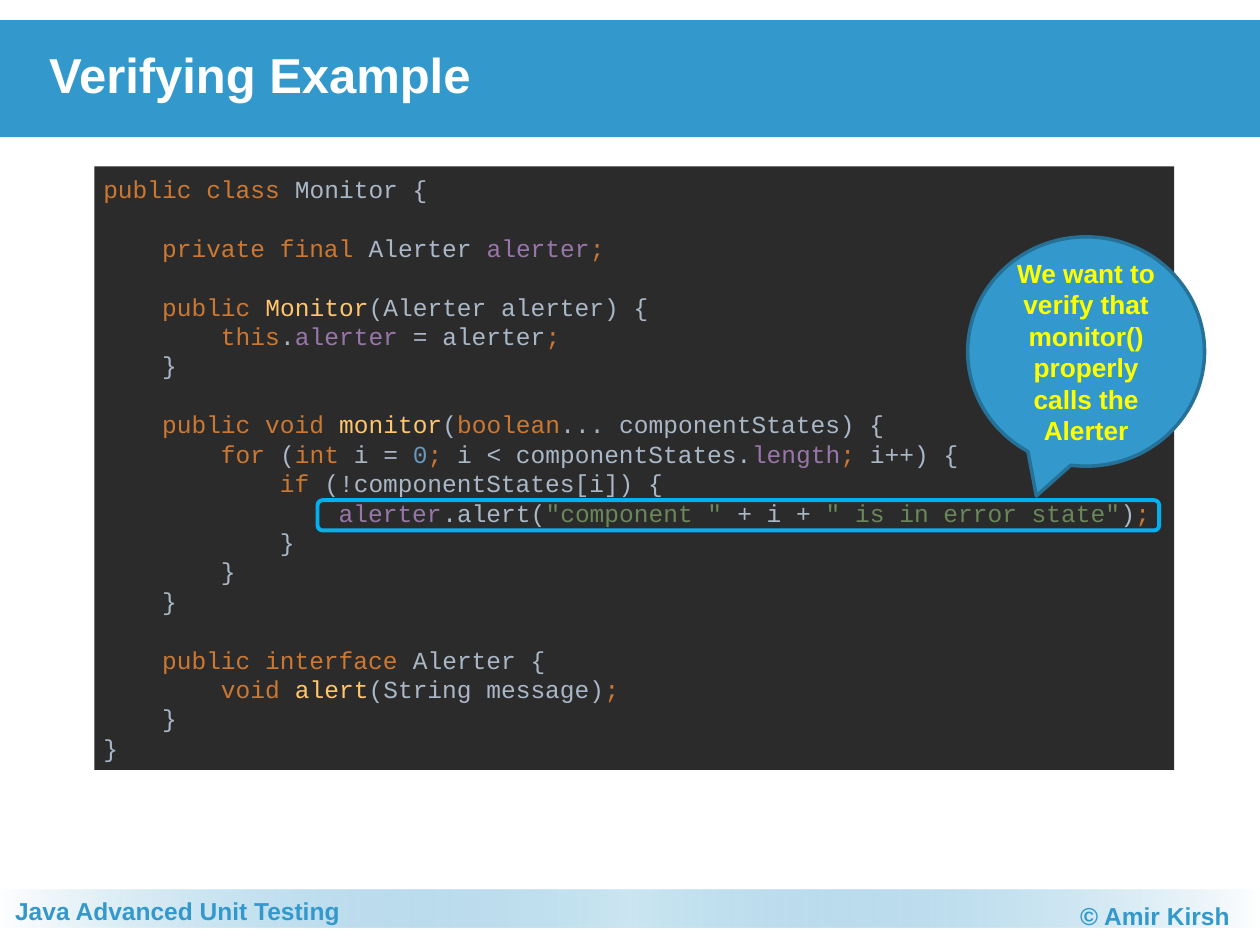
import copy

import lxml.etree
import pptx
import pptx.dml.color
import pptx.enum.shapes
import pptx.enum.text
import pptx.oxml.ns
import pptx.util

Inches = pptx.util.Inches
Pt = pptx.util.Pt
SHAPE = pptx.enum.shapes.MSO_SHAPE
ALIGN = pptx.enum.text.PP_ALIGN
ANCHOR = pptx.enum.text.MSO_ANCHOR
qn = pptx.oxml.ns.qn

BLUE = "3399CC"
SYNTAX = {
    "k": "CC7832",
    "t": "A9B7C6",
    "f": "9876AA",
    "m": "FFC66D",
    "n": "6897BB",
    "s": "6A8759",
}
CODE = [
    "kpublic class |tMonitor {",
    "",
    "k    private final |tAlerter |falerter|k;",
    "",
    "k    public |mMonitor|t(Alerter alerter) {",
    "k        this|t.|falerter |t= alerter|k;",
    "t    }",
    "",
    "k    public void |mmonitor|t(|kboolean|t... componentStates) {",
    "k        for |t(|kint |ti = |n0|k; |ti < componentStates.|flength|k; |ti++) {",
    "k            if |t(!componentStates[i]) {",
    'f                alerter|t.alert(|s"component " |t+ i + |s" is in error state"|t)|k;',
    "t            }",
    "t        }",
    "t    }",
    "",
    "k    public interface |tAlerter {",
    "k        void |malert|t(String message)|k;",
    "t    }",
    "t}",
]


def rgb(value):
    """Return the colour for a hex string."""
    return pptx.dml.color.RGBColor.from_string(value)


def style_run(r, size, color, font="Arial", bold=True):
    """Set the font of a run."""
    r.font.size = Pt(size)
    r.font.name = font
    r.font.bold = bold
    r.font.color.rgb = rgb(color)


def add_shape(s, kind, box, fill=None, line=None, width=0):
    """Add a preset shape with the given fill and outline."""
    sp = s.shapes.add_shape(kind, *map(Inches, box))
    sp.shadow.inherit = False
    if fill:
        sp.fill.solid()
        sp.fill.fore_color.rgb = rgb(fill)
    else:
        sp.fill.background()
    if line:
        sp.line.color.rgb = rgb(line)
        sp.line.width = Pt(width)
    else:
        sp.line.fill.background()
    return sp


def set_text(sp, text, size, color, align, anchor, margins):
    """Write one bold paragraph into a shape or text box."""
    tf = sp.text_frame
    tf.word_wrap = True
    tf.vertical_anchor = anchor
    tf.margin_left, tf.margin_top, tf.margin_right, tf.margin_bottom = map(Inches, margins)
    tf.text = text
    p = tf.paragraphs[0]
    p.alignment = align
    style_run(p.runs[0], size, color)
    return p


def add_title(s, box):
    """Add the title band."""
    sp = add_shape(s, SHAPE.RECTANGLE, box, BLUE)
    p = set_text(sp, "Verifying Example", 28, "FFFFFF", ALIGN.LEFT, ANCHOR.MIDDLE, (0.39, 0, 0, 0))
    p.line_spacing = 0.85


def add_footer(s, box):
    """Add the fading footer band with its two captions."""
    left, top, width, height = box
    band = add_shape(s, SHAPE.RECTANGLE, box)
    band.fill.gradient()
    band.fill.gradient_angle = 0
    stops = band._element.spPr.find(".//" + qn("a:gsLst"))
    for stop in list(stops):
        stops.remove(stop)
    for pos, color, alpha in ((0, "FFFFFF", 100), (50, BLUE, 25), (100, "FFFFFF", 100)):
        stop = lxml.etree.SubElement(stops, qn("a:gs"), pos=str(pos * 1000))
        clr = lxml.etree.SubElement(stop, qn("a:srgbClr"), val=color)
        if alpha < 100:
            lxml.etree.SubElement(clr, qn("a:alpha"), val=str(alpha * 1000))

    pad = 0.12
    caption_width = 4.2
    captions = (
        ("Java Advanced Unit Testing", left + pad, top, ALIGN.LEFT),
        ("© Amir Kirsh", left + width - 2 * pad - caption_width, top + 0.04, ALIGN.RIGHT),
    )
    for text, x, y, align in captions:
        sp = s.shapes.add_textbox(*map(Inches, (x, y, caption_width, height + 0.04)))
        set_text(sp, text, 14, BLUE, align, ANCHOR.TOP, (0, 0.05, 0, 0.05))


def add_code(s, box):
    """Add the code panel with coloured syntax."""
    sp = add_shape(s, SHAPE.RECTANGLE, box, "2B2B2B")
    tf = sp.text_frame
    tf.word_wrap = True
    tf.vertical_anchor = ANCHOR.MIDDLE
    tf.margin_left = tf.margin_right = Inches(0.07)
    tf.margin_top = tf.margin_bottom = Inches(0.04)
    p = tf.paragraphs[0]
    p.alignment = ALIGN.LEFT
    for i, line in enumerate(CODE):
        if i:
            p.add_line_break()
        for part in filter(None, line.split("|")):
            r = p.add_run()
            r.text = part[1:]
            style_run(r, 14, SYNTAX[part[0]], "Courier New", False)
    for br in p._p.findall(qn("a:br")):
        br.append(copy.deepcopy(p.runs[0]._r.rPr))


def add_highlight(s, box):
    """Outline the line of code under discussion."""
    add_shape(s, SHAPE.ROUNDED_RECTANGLE, box, line="00B0F0", width=2.25)


def add_callout(s, box):
    """Add the speech bubble that points at the highlighted line."""
    sp = add_shape(s, SHAPE.OVAL_CALLOUT, box, BLUE, "267197", 2)
    sp.adjustments[0] = -0.21
    sp.adjustments[1] = 0.63
    text = "We want to verify that monitor() properly calls the Alerter"
    set_text(sp, text, 15, "FFFF00", ALIGN.CENTER, ANCHOR.MIDDLE, (0.1, 0.05, 0.1, 0.05))


def main():
    """Build the slide and save it."""
    prs = pptx.Presentation()
    prs.slide_width = Inches(10)
    prs.slide_height = Inches(7.5)
    s = prs.slides.add_slide(prs.slide_layouts[6])
    add_footer(s, (0, 7.06, 10, 0.3))
    add_code(s, (0.75, 1.32, 8.57, 4.79))
    add_highlight(s, (2.52, 3.97, 6.68, 0.24))
    add_callout(s, (7.68, 1.88, 1.88, 1.82))
    add_title(s, (0, 0.16, 10, 0.93))
    prs.save("out.pptx")


if __name__ == "__main__":
    main()
